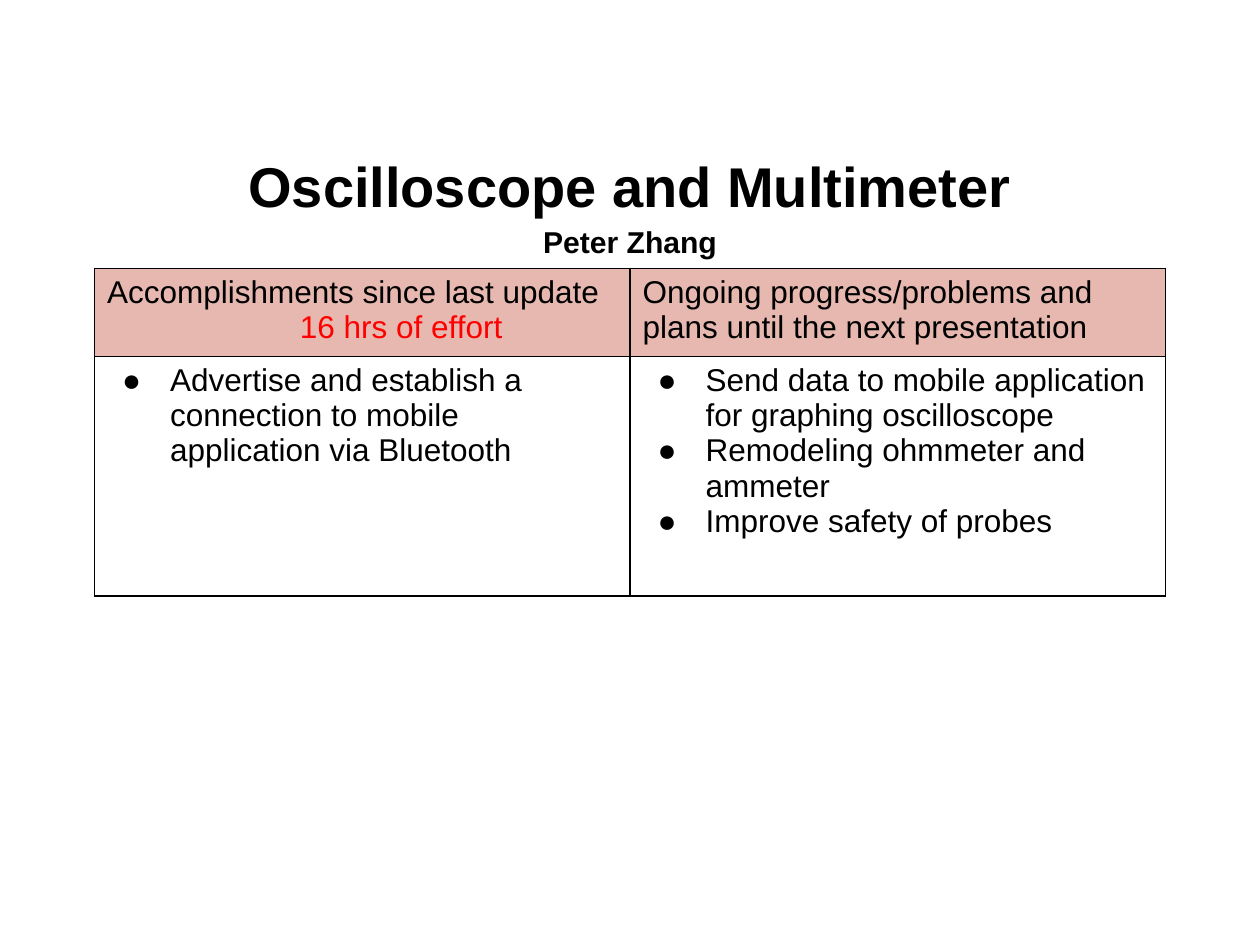
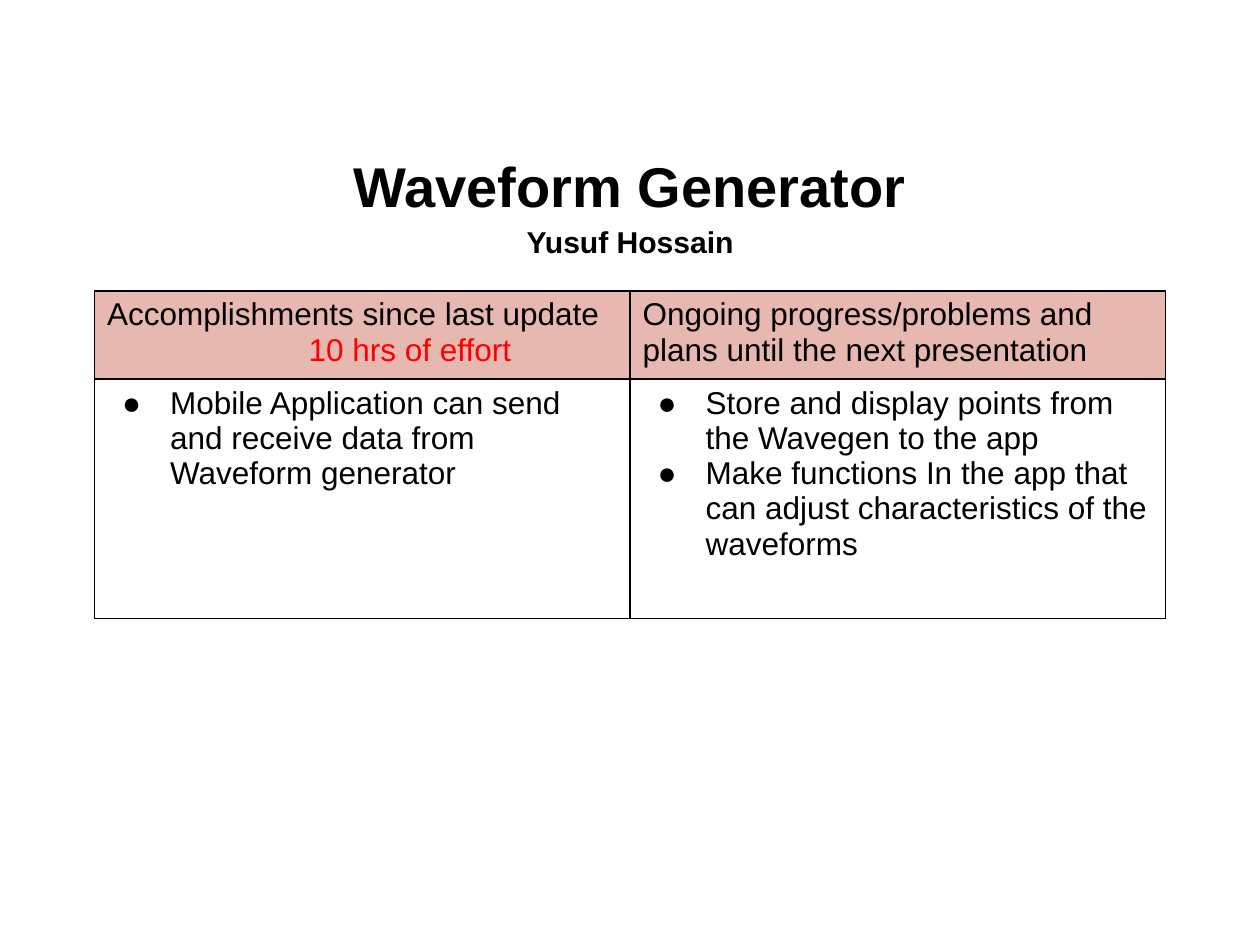
from lxml.etree import SubElement
from pptx import Presentation
from pptx.dml.color import RGBColor
from pptx.enum.text import MSO_ANCHOR, MSO_AUTO_SIZE, PP_ALIGN
from pptx.oxml.ns import qn
from pptx.util import Inches, Pt

COLORS = {"text": "000000", "effort": "FF0000", "header": "E6B8AF", "border": "000000"}
FONT = "Arial"
TITLE_BOX = (0.5, 1.15, 9, 0.88)
TABLE_LEFT = 0.75
COLUMN_WIDTH = 4.25
ROW_HEIGHTS = (0.7, 1.9)
DONE_HEADING = "Accomplishments since last update"
PLANS_HEADING = "Ongoing progress/problems and plans until the next presentation"

UPDATES = [
    {
        "project": "Oscilloscope and Multimeter",
        "presenter": "Peter Zhang",
        "table_top": 2.13,
        "effort": "16 hrs of effort",
        "effort_indent": 1.53,
        "done": ["Advertise and establish a connection to mobile application via Bluetooth"],
        "plans": [
            "Send data to mobile application for graphing oscilloscope",
            "Remodeling ohmmeter and ammeter",
            "Improve safety of probes",
        ],
    },
    {
        "project": "Waveform Generator",
        "presenter": "Yusuf Hossain",
        "table_top": 2.31,
        "effort": "10 hrs of effort",
        "effort_indent": 1.6,
        "done": ["Mobile Application can send and receive data from Waveform generator"],
        "plans": [
            "Store and display points from the Wavegen to the app",
            "Make functions In the app that can adjust characteristics of the waveforms",
        ],
    },
]


def rgb(name):
    return RGBColor.from_string(COLORS[name])


def style_font(paragraph, size, color="text", bold=False):
    font = paragraph.font
    font.name, font.size, font.bold = FONT, Pt(size), bold
    font.color.rgb = rgb(color)


def add_paragraphs(text_frame, lines):
    """Write one paragraph per line and return the paragraphs."""
    for index, line in enumerate(lines):
        paragraph = text_frame.paragraphs[0] if index == 0 else text_frame.add_paragraph()
        paragraph.text = line
    return text_frame.paragraphs


def indent(paragraph, left, first_line=0):
    properties = paragraph._p.get_or_add_pPr()
    properties.set("marL", str(Inches(left)))
    properties.set("indent", str(Inches(first_line)))
    return properties


def add_bullet(paragraph):
    properties = indent(paragraph, 0.5, -0.38)
    bullet_color = SubElement(properties, qn("a:buClr"))
    SubElement(bullet_color, qn("a:srgbClr"), val=COLORS["text"])
    SubElement(properties, qn("a:buFont"), typeface=FONT)
    SubElement(properties, qn("a:buChar"), char="●")


def add_borders(cell):
    properties = cell._tc.get_or_add_tcPr()
    for side in ("lnL", "lnR", "lnT", "lnB"):
        line = SubElement(properties, qn(f"a:{side}"), w=str(Pt(1)))
        fill = SubElement(line, qn("a:solidFill"))
        SubElement(fill, qn("a:srgbClr"), val=COLORS["border"])


def fill_heading_cell(cell, lines):
    cell.fill.solid()
    cell.fill.fore_color.rgb = rgb("header")
    paragraphs = add_paragraphs(cell.text_frame, lines)
    for paragraph in paragraphs:
        style_font(paragraph, 18)
    return paragraphs


def fill_list_cell(cell, items):
    cell.fill.background()
    for paragraph in add_paragraphs(cell.text_frame, items):
        add_bullet(paragraph)
        style_font(paragraph, 18)


def add_title(slide, box, project, presenter):
    title = slide.shapes.title
    title.left, title.top, title.width, title.height = map(Inches, box)
    text_frame = title.text_frame
    text_frame.auto_size = MSO_AUTO_SIZE.NONE
    text_frame.vertical_anchor = MSO_ANCHOR.MIDDLE
    paragraphs = add_paragraphs(text_frame, [project, presenter])
    for paragraph, size in zip(paragraphs, (32, 17.2)):
        paragraph.alignment = PP_ALIGN.CENTER
        paragraph.line_spacing = 1.15
        paragraph.space_before = Pt(0)
        style_font(paragraph, size, bold=True)


def add_status_table(slide, left, top, update):
    table = slide.shapes.add_table(
        2, 2, Inches(left), Inches(top), Inches(2 * COLUMN_WIDTH), Inches(sum(ROW_HEIGHTS))
    ).table
    table.first_row = table.horz_banding = False
    for column in table.columns:
        column.width = Inches(COLUMN_WIDTH)
    for row, height in zip(table.rows, ROW_HEIGHTS):
        row.height = Inches(height)
    for cell in table.iter_cells():
        add_borders(cell)

    effort = fill_heading_cell(table.cell(0, 0), [DONE_HEADING, update["effort"]])[1]
    indent(effort, update["effort_indent"])
    effort.font.color.rgb = rgb("effort")
    fill_heading_cell(table.cell(0, 1), [PLANS_HEADING])
    fill_list_cell(table.cell(1, 0), update["done"])
    fill_list_cell(table.cell(1, 1), update["plans"])


def add_update_slide(presentation, update):
    slide = presentation.slides.add_slide(presentation.slide_layouts[5])
    add_title(slide, TITLE_BOX, update["project"], update["presenter"])
    add_status_table(slide, TABLE_LEFT, update["table_top"], update)


def main():
    presentation = Presentation()
    presentation.slide_width, presentation.slide_height = Inches(10), Inches(7.5)
    for update in UPDATES:
        add_update_slide(presentation, update)
    presentation.save("out.pptx")


if __name__ == "__main__":
    main()
